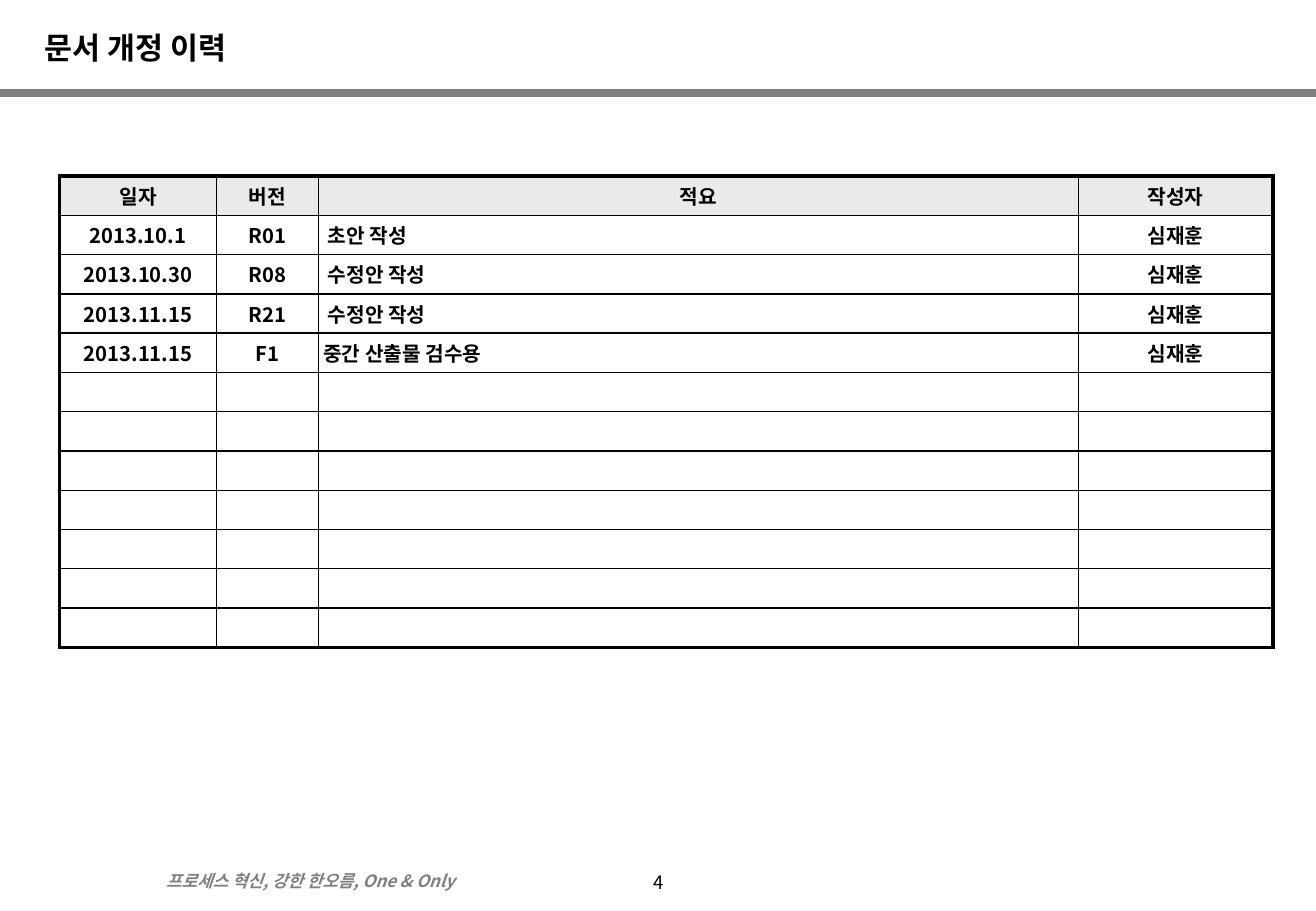
from dataclasses import dataclass

from pptx import Presentation
from pptx import util as u
from pptx.dml import color
from pptx.enum import shapes, text
from pptx.oxml import ns
from lxml import etree

FONT = "Noto Sans CJK KR"
BLACK, GRAY, HEADER_FILL = "000000", "808080", "EAEAEA"
SLIDE_WIDTH, SLIDE_HEIGHT = 780, 540
CELL_SIZE, CELL_INSET, NOTE_INDENT = 12, 2.88, 2.7
THIN, THICK = 1, 2.25
ROW_COUNT, ROW_HEIGHT = 12, 23.28
COLUMN_WIDTHS = (93.1, 60.4, 450.4, 115.4)
NOTE_COLUMN = 2


@dataclass
class Label:
    wording: str
    left: float
    top: float
    width: float
    height: float
    size: float
    color: str = BLACK
    bold: bool = False
    italic: bool = False
    align: text.PP_ALIGN = text.PP_ALIGN.LEFT
    anchor: text.MSO_ANCHOR = text.MSO_ANCHOR.TOP
    inset: float = 0
    line_spacing: float = 1.0


@dataclass
class Revision:
    date: str
    version: str
    note: str
    author: str
    indent: float = NOTE_INDENT


LABELS = [
    Label("4", 354.24, 513.36, 72, 21.6, 11, align=text.PP_ALIGN.CENTER,
          anchor=text.MSO_ANCHOR.MIDDLE, line_spacing=0.8),
    Label("프로세스 혁신, 강한 한오름, One & Only", 91.44, 513.36, 239.04, 19.44, 10,
          GRAY, bold=True, italic=True, inset=2.5),
    Label("문서 개정 이력", 19.44, 17.28, 737.28, 33.12, 18, bold=True),
]

HEADINGS = Revision("일자", "버전", "적요", "작성자")
REVISIONS = [
    Revision("2013.10.1", "R01", "초안 작성", "심재훈"),
    Revision("2013.10.30", "R08", "수정안 작성", "심재훈"),
    Revision("2013.11.15", "R21", "수정안 작성", "심재훈"),
    Revision("2013.11.15", "F1", "중간 산출물 검수용", "심재훈", indent=0),
]


def rgb(value: str) -> color.RGBColor:
    return color.RGBColor.from_string(value)


def add_run(paragraph, wording: str, size: float, hue: str,
            bold: bool, italic: bool = False) -> None:
    run = paragraph.add_run()
    run.text = wording
    font = run.font
    font.name, font.size = FONT, u.Pt(size)
    font.bold, font.italic = bold, italic
    font.color.rgb = rgb(hue)
    # East Asian typeface for the Hangul
    etree.SubElement(run._r.get_or_add_rPr(), ns.qn("a:ea"), typeface=FONT)


def add_label(slide, label: Label) -> None:
    box = slide.shapes.add_textbox(u.Pt(label.left), u.Pt(label.top),
                                   u.Pt(label.width), u.Pt(label.height))
    frame = box.text_frame
    frame.word_wrap = True
    frame.vertical_anchor = label.anchor
    frame.margin_top = frame.margin_bottom = u.Pt(label.inset)
    paragraph = frame.paragraphs[0]
    paragraph.alignment = label.align
    paragraph.line_spacing = label.line_spacing
    add_run(paragraph, label.wording, label.size, label.color, label.bold, label.italic)


def add_header_rule(slide) -> None:
    rule = slide.shapes.add_connector(shapes.MSO_CONNECTOR.STRAIGHT, u.Pt(0), u.Pt(55),
                                      u.Pt(SLIDE_WIDTH), u.Pt(55))
    rule.line.color.rgb = rgb(GRAY)
    rule.line.width = u.Pt(5)
    etree.SubElement(rule._element.spPr, ns.qn("a:effectLst"))


def set_borders(cell, row: int, column: int) -> None:
    outer_edges = {
        "a:lnL": column == 0,
        "a:lnR": column == len(COLUMN_WIDTHS) - 1,
        "a:lnT": row == 0,
        "a:lnB": row == ROW_COUNT - 1,
    }
    properties = cell._tc.get_or_add_tcPr()
    for tag, is_outer in outer_edges.items():
        width = u.Pt(THICK if is_outer else THIN)
        border = etree.SubElement(properties, ns.qn(tag), w=str(int(width)))
        fill = etree.SubElement(border, ns.qn("a:solidFill"))
        etree.SubElement(fill, ns.qn("a:srgbClr"), val=BLACK)


def fill_cell(cell, wording: str, row: int, column: int, indent: float) -> None:
    is_note = row > 0 and column == NOTE_COLUMN
    cell.margin_left = u.Pt(CELL_INSET + (indent if is_note else 0))
    cell.margin_right = cell.margin_top = cell.margin_bottom = u.Pt(CELL_INSET)
    set_borders(cell, row, column)
    if row == 0:
        cell.fill.solid()
        cell.fill.fore_color.rgb = rgb(HEADER_FILL)
    else:
        cell.fill.background()
    paragraph = cell.text_frame.paragraphs[0]
    paragraph.alignment = text.PP_ALIGN.LEFT if is_note else text.PP_ALIGN.CENTER
    if wording:
        add_run(paragraph, wording, CELL_SIZE, BLACK, bold=True)
    else:
        # Keeps an empty row as low as a written one
        etree.SubElement(paragraph._p, ns.qn("a:endParaRPr"), sz=str(CELL_SIZE * 100))


def add_history_table(slide) -> None:
    history = slide.shapes.add_table(
        ROW_COUNT, len(COLUMN_WIDTHS), u.Pt(35.28), u.Pt(104.4),
        u.Pt(sum(COLUMN_WIDTHS)), u.Pt(ROW_COUNT * ROW_HEIGHT)).table
    history.first_row = history.horz_banding = False
    for column, width in zip(history.columns, COLUMN_WIDTHS):
        column.width = u.Pt(width)
    entries = [HEADINGS, *REVISIONS]
    entries += [Revision("", "", "", "")] * (ROW_COUNT - len(entries))
    for row, entry in enumerate(entries):
        history.rows[row].height = u.Pt(ROW_HEIGHT)
        wordings = (entry.date, entry.version, entry.note, entry.author)
        for column, wording in enumerate(wordings):
            fill_cell(history.cell(row, column), wording, row, column, entry.indent)


def main() -> None:
    deck = Presentation()
    deck.slide_width, deck.slide_height = u.Pt(SLIDE_WIDTH), u.Pt(SLIDE_HEIGHT)
    slide = deck.slides.add_slide(deck.slide_layouts[6])

    # Header rule, footer and title
    add_header_rule(slide)
    for label in LABELS:
        add_label(slide, label)

    # Revision history
    add_history_table(slide)
    deck.save("out.pptx")


if __name__ == "__main__":
    main()
